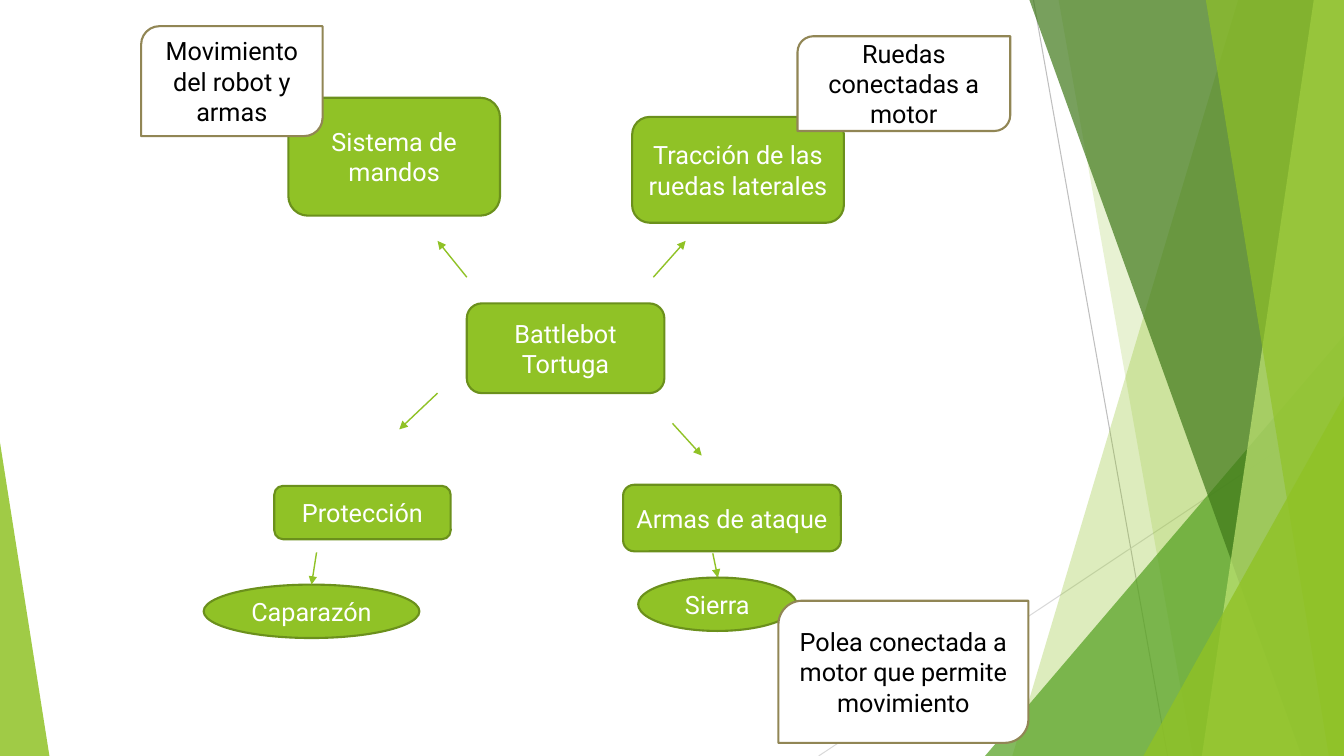
import pptx
import pptx.util
import pptx.dml.color
import pptx.enum.shapes
import pptx.enum.text
import pptx.oxml
import pptx.oxml.ns
import lxml.etree

Inches = pptx.util.Inches
RGBColor = pptx.dml.color.RGBColor
Preset = pptx.enum.shapes.MSO_SHAPE

LIME = RGBColor(0x90, 0xC2, 0x26)
OLIVE = RGBColor(0x6B, 0x90, 0x1C)
GREEN = RGBColor(0x54, 0xA0, 0x21)
FOREST = RGBColor(0x3F, 0x78, 0x19)
PALE = RGBColor(0xC0, 0xE4, 0x74)
SAND = RGBColor(0x91, 0x86, 0x55)
GREY = RGBColor(0xBF, 0xBF, 0xBF)
LIGHT_GREY = RGBColor(0xD9, 0xD9, 0xD9)
WHITE = RGBColor(0xFF, 0xFF, 0xFF)
BLACK = RGBColor(0, 0, 0)

WIDTH, HEIGHT = 13.33, 7.5


def add_element(parent, tag, **attributes):
    return lxml.etree.SubElement(parent, pptx.oxml.ns.qn(tag), **attributes)


def add_line(page, start, end, color, width, arrow=False):
    line = page.shapes.add_connector(
        pptx.enum.shapes.MSO_CONNECTOR.STRAIGHT,
        *(Inches(value) for value in (*start, *end)))
    line.line.color.rgb = color
    line.line.width = pptx.util.Pt(width)
    if arrow:
        add_element(line.line._get_or_add_ln(), "a:tailEnd", type="triangle")
    add_element(line._element.spPr, "a:effectLst")


def paint_facet(shape, color, opacity):
    shape.shadow.inherit = False
    shape.fill.solid()
    shape.fill.fore_color.rgb = color
    shape.line.fill.background()
    solid_color = shape._element.spPr.find(".//" + pptx.oxml.ns.qn("a:srgbClr"))
    add_element(solid_color, "a:alpha", val=str(opacity * 1000))


def add_band(page, box, top_x, bottom_x, color, opacity):
    """Band with a slanted left side, reaching the right side of the box."""
    left, top, width, height = box
    right, bottom = left + width, top + height
    corners = [(left + top_x, top), (right, top), (right, bottom), (left + bottom_x, bottom)]
    corners = [(Inches(x), Inches(y)) for x, y in corners]
    builder = page.shapes.build_freeform(*corners[0])
    builder.add_line_segments(corners[1:], close=True)
    paint_facet(builder.convert_to_shape(), color, opacity)


def add_corner(page, box, size, color, opacity, on_right=True):
    """Right triangle standing in a bottom corner of the box."""
    left, top, width, height = box
    x = left + width - size[0] if on_right else left
    corner = page.shapes.add_shape(
        Preset.ISOSCELES_TRIANGLE, Inches(x), Inches(top + height - size[1]),
        Inches(size[0]), Inches(size[1]))
    corner.adjustments[0] = 1 if on_right else 0
    paint_facet(corner, color, opacity)


def add_facets(page, box):
    left, top, width, height = box
    right, bottom = left + width, top + height

    # Thin lines behind the facets
    add_line(page, (left + 10.25, top), (left + 11.58, bottom), GREY, 0.75)
    add_line(page, (right, top + 4.03), (left + 8.12, bottom), LIGHT_GREY, 0.75)

    # Translucent facets, from back to front
    add_band(page, box, 12.28, 10.04, LIME, 30)
    add_band(page, box, 10.5, 11.83, LIME, 20)
    add_corner(page, box, (3.56, 4.17), GREEN, 72)
    add_band(page, box, 10.21, 12.91, FOREST, 70)
    add_band(page, box, 13.03, 11.92, PALE, 70)
    add_band(page, box, 11.96, 13.18, LIME, 65)
    add_corner(page, box, (1.99, 3.57), LIME, 80)
    add_corner(page, box, (0.49, 3.11), LIME, 85, on_right=False)


def add_label(page, preset, box, text, fill, outline, ink):
    label = page.shapes.add_shape(preset, *(Inches(value) for value in box))
    label.shadow.inherit = False
    label.fill.solid()
    label.fill.fore_color.rgb = fill
    label.line.color.rgb = outline
    label.line.width = pptx.util.Pt(1.5)
    frame = label.text_frame
    frame.word_wrap = True
    frame.vertical_anchor = pptx.enum.text.MSO_ANCHOR.MIDDLE
    para = frame.paragraphs[0]
    para.text = text
    para.alignment = pptx.enum.text.PP_ALIGN.CENTER
    para.font.name = "Roboto"
    para.font.size = pptx.util.Pt(18)
    para.font.color.rgb = ink


def add_concept_map(page, box):
    left, top = box[:2]

    # Topics and their parts
    topics = [
        (Preset.ROUNDED_RECTANGLE, 4.63, 3.01, 1.96, 0.89, "Battlebot Tortuga"),
        (Preset.ROUNDED_RECTANGLE, 2.72, 4.82, 1.75, 0.53, "Protección"),
        (Preset.ROUNDED_RECTANGLE, 6.18, 4.81, 2.16, 0.66, "Armas de ataque"),
        (Preset.OVAL, 2.02, 5.8, 2.14, 0.53, "Caparazón"),
        (Preset.OVAL, 6.33, 5.73, 1.57, 0.53, "Sierra"),
        (Preset.ROUNDED_RECTANGLE, 6.27, 1.16, 2.1, 1.05, "Tracción de las ruedas laterales"),
        (Preset.ROUNDED_RECTANGLE, 2.86, 0.97, 2.1, 1.17, "Sistema de mandos"),
    ]
    for preset, x, y, width, height, text in topics:
        add_label(page, preset, (left + x, top + y, width, height), text, LIME, OLIVE, WHITE)

    # Arrows
    arrows = [
        (3.14, 5.48, 3.09, 5.8), (7.07, 5.49, 7.12, 5.73),
        (4.63, 2.75, 4.34, 2.39), (6.48, 2.75, 6.8, 2.39),
        (4.34, 3.9, 3.96, 4.26), (6.67, 4.2, 6.96, 4.52),
    ]
    for x1, y1, x2, y2 in arrows:
        add_line(page, (left + x1, top + y1), (left + x2, top + y2), LIME, 1, arrow=True)

    # Notes overlapping the topics
    notes = [
        (7.72, 5.96, 2.48, 1.41, "Polea conectada a motor que permite movimiento"),
        (7.91, 0.36, 2.11, 0.94, "Ruedas conectadas a motor"),
        (1.4, 0.26, 1.8, 1.09, "Movimiento del robot y armas"),
    ]
    for x, y, width, height, text in notes:
        add_label(page, Preset.ROUND_2_DIAG_RECTANGLE, (left + x, top + y, width, height),
                  text, WHITE, SAND, BLACK)


def main():
    deck = pptx.Presentation()
    deck.slide_width, deck.slide_height = Inches(WIDTH), Inches(HEIGHT)
    page = deck.slides.add_slide(deck.slide_layouts[6])
    add_facets(page, (0, 0, WIDTH, HEIGHT))
    add_concept_map(page, (0, 0, WIDTH, HEIGHT))
    deck.save("out.pptx")


if __name__ == "__main__":
    main()
